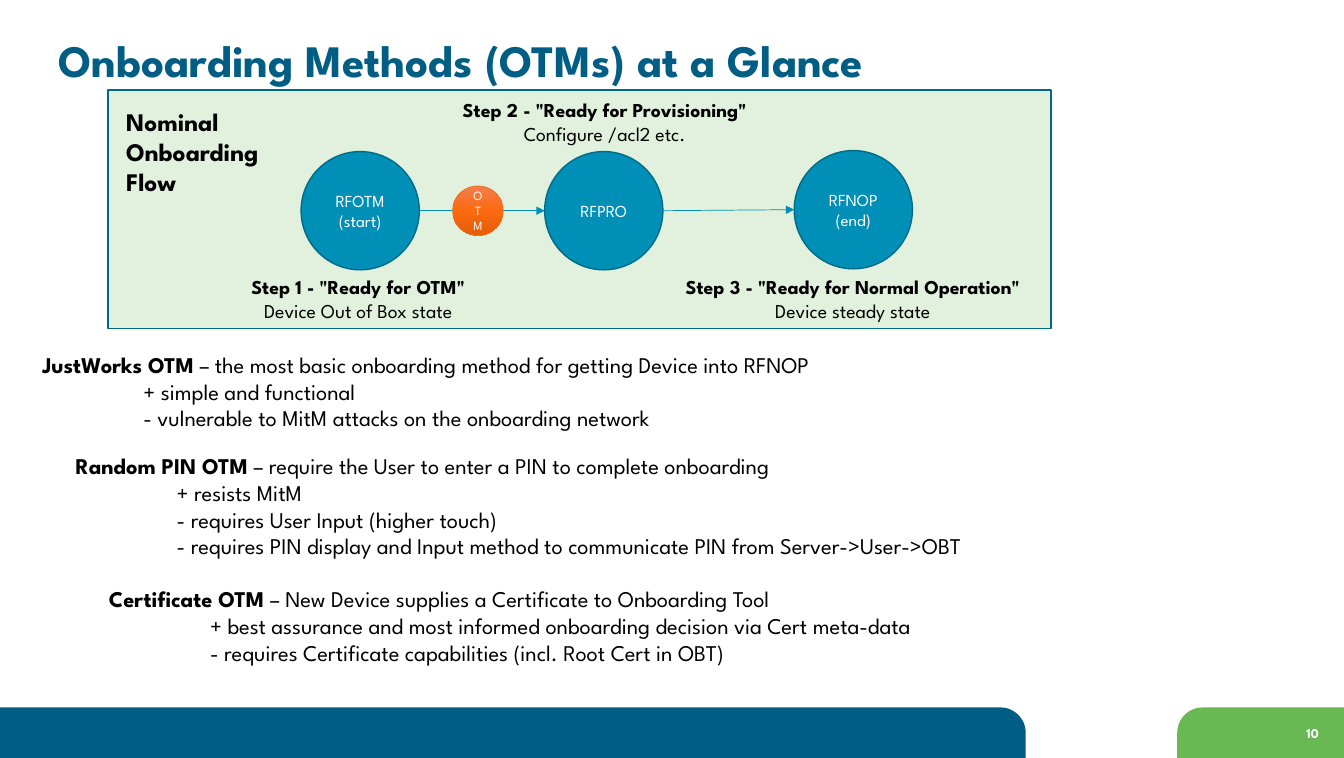
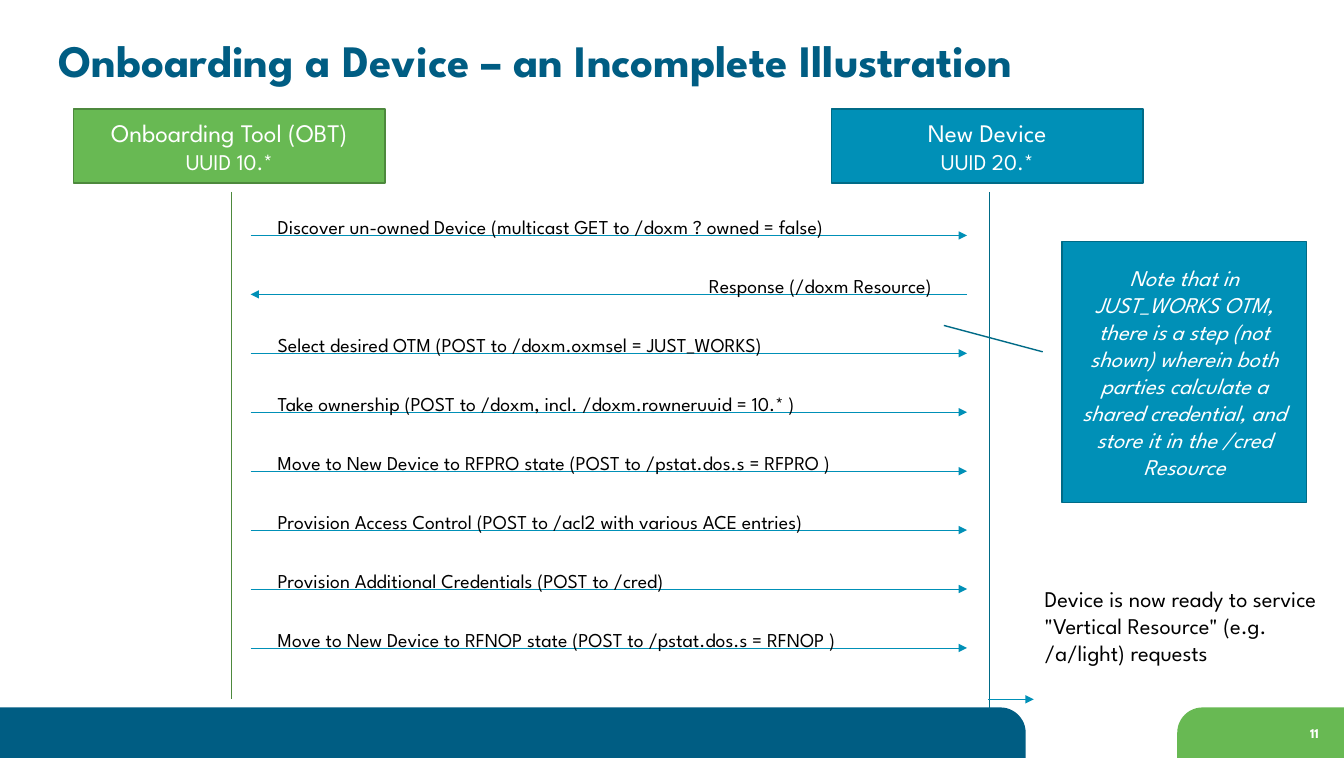
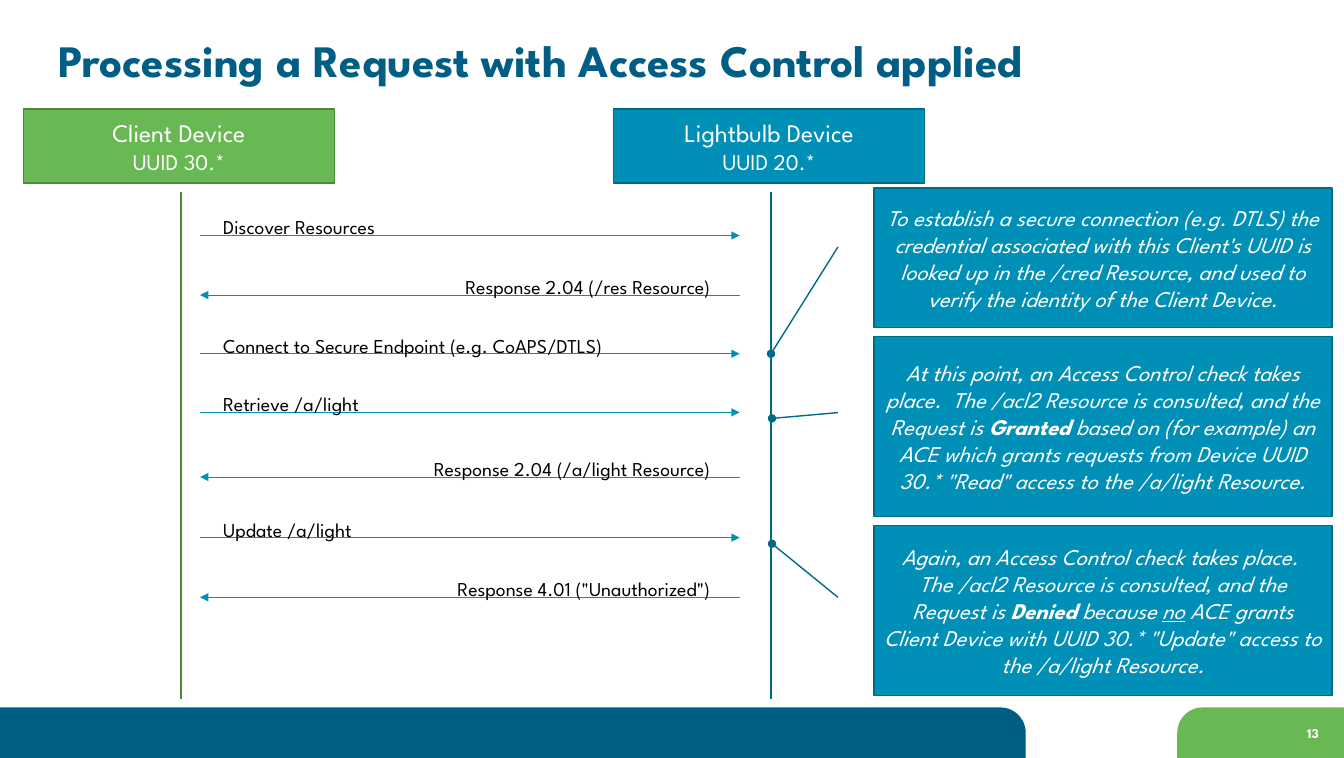
from copy import deepcopy

from lxml import etree
from pptx import Presentation
from pptx.dml.color import RGBColor
from pptx.enum.shapes import MSO_CONNECTOR, MSO_SHAPE
from pptx.enum.text import MSO_ANCHOR, PP_ALIGN
from pptx.oxml.ns import qn
from pptx.util import Inches, Pt

FONT = "League Spartan"
NAVY = RGBColor(0x00, 0x5D, 0x83)
BLUE = RGBColor(0x00, 0x90, 0xB7)
BLUE_EDGE = RGBColor(0x00, 0x6B, 0x87)
GREEN = RGBColor(0x68, 0xB9, 0x53)
GREEN_EDGE = RGBColor(0x4D, 0x89, 0x3D)
PALE_GREEN = RGBColor(0xE1, 0xF1, 0xDD)
ORANGE_EDGE = RGBColor(0xF0, 0x6C, 0x19)
ORANGES = [(0, RGBColor(0xF4, 0x7E, 0x4E)), (0.5, RGBColor(0xFB, 0x6A, 0x0E)),
           (1, RGBColor(0xE5, 0x5C, 0x07))]
WHITE = RGBColor(0xFF, 0xFF, 0xFF)
BLACK = RGBColor(0x00, 0x00, 0x00)
LEFT, CENTER, RIGHT = PP_ALIGN.LEFT, PP_ALIGN.CENTER, PP_ALIGN.RIGHT

# Slide 10: the states, their captions and the onboarding methods
CIRCLE = 1.17
STATES = [(2.98, 1.5, ["RFOTM", "(start)"]), (5.39, 1.5, ["RFPRO"]),
          (7.86, 1.49, ["RFNOP", "(end)"])]
STEPS = [
    ((2.15, 2.67, 2.79, 0.57), 'Step 1 - "Ready for OTM"', "Device Out of Box state"),
    ((4.32, 0.92, 3.33, 0.57), 'Step 2 - "Ready for Provisioning"', "Configure /acl2 etc."),
    ((6.4, 2.67, 4.08, 0.57), 'Step 3 - "Ready for Normal Operation"', "Device steady state"),
]
METHODS = [
    (0.32, 3.42, "JustWorks OTM",
     " – the most basic onboarding method for getting Device into RFNOP",
     ["+ simple and functional", "- vulnerable to MitM attacks on the onboarding network"]),
    (0.65, 4.42, "Random PIN OTM", " – require the User to enter a PIN to complete onboarding",
     ["+ resists MitM", "- requires User Input (higher touch)",
      "- requires PIN display and Input method to communicate PIN from Server->User->OBT"]),
    (0.98, 5.74, "Certificate OTM", " – New Device supplies a Certificate to Onboarding Tool",
     ["+ best assurance and most informed onboarding decision via Cert meta-data",
      "- requires Certificate capabilities (incl. Root Cert in OBT)"]),
]

# Slides 11 and 13: message sequences between two parties
REQUEST, RESPONSE = "request", "response"
FIRST_MESSAGE, MESSAGE_STEP = 2.33, 0.583
ONBOARDING = {
    "title": "Onboarding a Device – an Incomplete Illustration",
    "number": "11",
    "parties": [(0.73, 6.92, "Onboarding Tool (OBT)", "UUID 10.*"),
                (8.23, 7.02, "New Device", "UUID 20.*")],
    "arrow": (2.48, 9.57),
    "label": (2.65, 6.67),
    "messages": [
        (FIRST_MESSAGE + index * MESSAGE_STEP, way, text) for index, (way, text) in enumerate([
            (REQUEST, "Discover un-owned Device (multicast GET to /doxm ? owned = false)"),
            (RESPONSE, "Response (/doxm Resource)"),
            (REQUEST, "Select desired OTM (POST to /doxm.oxmsel = JUST_WORKS)"),
            (REQUEST, "Take ownership (POST to /doxm, incl. /doxm.rowneruuid = 10.* )"),
            (REQUEST, "Move to New Device to RFPRO state (POST to /pstat.dos.s = RFPRO )"),
            (REQUEST, "Provision Access Control (POST to /acl2 with various ACE entries)"),
            (REQUEST, "Provision Additional Credentials (POST to /cred)"),
            (REQUEST, "Move to New Device to RFNOP state (POST to /pstat.dos.s = RFNOP )"),
        ])],
    "notes": [((10.51, 2.39, 2.42, 2.58), (9.34, 3.22), False, [
        ("Note that in JUST_WORKS OTM, there is a step (not shown) wherein both parties "
         "calculate a shared credential, and store it in the /cred Resource", "i")])],
}
ACCESS = {
    "title": "Processing a Request with Access Control applied",
    "number": "13",
    "parties": [(0.23, 6.92, "Client Device", "UUID 30.*"),
                (6.07, 6.92, "Lightbulb Device", "UUID 20.*")],
    "arrow": (1.98, 7.32),
    "label": (2.11, 5.02),
    "messages": [
        (2.33, REQUEST, "Discover Resources"),
        (2.92, RESPONSE, "Response 2.04 (/res Resource)"),
        (3.5, REQUEST, "Connect to Secure Endpoint (e.g. CoAPS/DTLS)"),
        (4.08, REQUEST, "Retrieve /a/light"),
        (4.72, RESPONSE, "Response 2.04 (/a/light Resource)"),
        (5.32, REQUEST, "Update /a/light"),
        (5.91, RESPONSE, 'Response 4.01 ("Unauthorized")'),
    ],
    "notes": [
        ((8.65, 1.86, 4.53, 1.38), (7.63, 3.5), True, [
            ("To establish a secure connection (e.g. DTLS) the credential associated with this "
             "Client's UUID is looked up in the /cred Resource, and used to verify the identity "
             "of the Client Device.", "i")]),
        ((8.65, 3.33, 4.53, 1.78), (7.64, 4.14), True, [
            ("At this point, an Access Control check takes place.  The /acl2 Resource is "
             "consulted, and the Request is ", "i"),
            ("Granted", "bi"),
            (" based on (for example) an ACE which grants requests from Device UUID 30.* "
             '"Read" access to the /a/light Resource.', "i")]),
        ((8.65, 5.2, 4.53, 1.68), (7.64, 5.38), True, [
            ("Again, an Access Control check takes place.  The /acl2 Resource is consulted, "
             "and the Request is ", "i"),
            ("Denied", "bi"),
            (" because ", "i"),
            ("no", "iu"),
            (' ACE grants Client Device with UUID 30.* "Update" access to the /a/light Resource.',
             "i")]),
    ],
}


def write(shape, paras, size, color=BLACK, align=LEFT):
    """Fill a shape with paragraphs of (text, style letters b/i/u, optional size) spans."""
    frame = shape.text_frame
    frame.word_wrap = True
    for index, spans in enumerate(paras):
        para = frame.add_paragraph() if index else frame.paragraphs[0]
        para.alignment = align
        for text, style, *own_size in spans:
            span = para.add_run()
            span.text = text
            font = span.font
            font.name = FONT
            font.size = Pt(own_size[0] if own_size else size)
            font.color.rgb = color
            font.bold = "b" in style
            font.italic = "i" in style
            font.underline = "u" in style
    return frame


def add_text(slide, place, paras, size, color=BLACK, align=LEFT, anchor=MSO_ANCHOR.TOP):
    box = slide.shapes.add_textbox(*map(Inches, place))
    frame = write(box, paras, size, color, align)
    frame.vertical_anchor = anchor
    return frame


def add_box(slide, kind, place, fill, edge=None, width=1):
    box = slide.shapes.add_shape(kind, *map(Inches, place))
    box.shadow.inherit = False
    box.fill.solid()
    box.fill.fore_color.rgb = fill
    if edge is None:
        box.line.fill.background()
    else:
        box.line.color.rgb = edge
        box.line.width = Pt(width)
    return box


def add_tail(line, kind):
    etree.SubElement(line.get_or_change_to_solid_fill().getparent(), qn("a:tailEnd"), type=kind) \
        if hasattr(line, "get_or_change_to_solid_fill") else \
        etree.SubElement(line, qn("a:tailEnd"), type=kind)


def add_arrow(slide, start, end):
    arrow = slide.shapes.add_connector(MSO_CONNECTOR.STRAIGHT, *map(Inches, (*start, *end)))
    arrow.line.color.rgb = BLUE
    arrow.line.width = Pt(0.5)
    properties = arrow.element.spPr
    add_tail(properties.find(qn("a:ln")), "triangle")
    etree.SubElement(properties, qn("a:effectLst"))


def add_callout(slide, place, start, end, fill, edge):
    """Add a box whose leader line runs between two slide points."""
    box = add_box(slide, MSO_SHAPE.LINE_CALLOUT_1, place, fill, edge)
    left, top, width, height = place
    ratios = [((y - top) / height, (x - left) / width) for x, y in (start, end)]
    for index, ratio in enumerate(ratios[0] + ratios[1]):
        box.adjustments[index] = ratio
    return box


def add_page(deck, title, number):
    page = deck.slides.add_slide(deck.slide_layouts[6])
    for left, width, color in [(0, 10.15, NAVY), (11.65, 1.65, GREEN)]:
        band = add_box(page, MSO_SHAPE.ROUND_1_RECTANGLE, (left, 7, width, 0.5), color)
        band.adjustments[0] = 0.5
        if left:
            band.element.spPr.find(qn("a:xfrm")).set("flipH", "1")
    add_text(page, (0.48, 0, 11.33, 1.17), [[(title, "b")]], 32, NAVY,
             anchor=MSO_ANCHOR.MIDDLE)
    frame = add_text(page, (11.98, 7.08, 1.17, 0.33), [[(number, "b")]], 12, WHITE, RIGHT,
                     MSO_ANCHOR.MIDDLE)
    frame.paragraphs[0].runs[0].font._element.set("cap", "small")
    return page


def add_otm_badge(page):
    badge = add_box(page, MSO_SHAPE.OVAL, (4.48, 1.84, 0.5, 0.49), ORANGES[0][1],
                    ORANGE_EDGE, 0.5)
    badge.fill.gradient()
    badge.fill.gradient_angle = 270
    stop_list = badge.element.spPr.find(qn("a:gradFill")).find(qn("a:gsLst"))
    stop_list.insert(1, deepcopy(stop_list[0]))
    for stop, (position, color) in zip(badge.fill.gradient_stops, ORANGES):
        stop.position = position
        stop.color.rgb = color
    write(badge, [[(letter, "")] for letter in "OTM"], 9, WHITE, CENTER)


def build_methods(deck):
    page = add_page(deck, "Onboarding Methods (OTMs) at a Glance", "10")
    add_box(page, MSO_SHAPE.RECTANGLE, (1.07, 0.89, 9.33, 2.36), PALE_GREEN, BLUE_EDGE)
    add_text(page, (1.15, 1, 1.75, 1.01),
             [[(word, "b")] for word in ("Nominal", "Onboarding", "Flow")], 18)
    for left, top, lines in STATES:
        circle = add_box(page, MSO_SHAPE.OVAL, (left, top, CIRCLE, CIRCLE), BLUE, BLUE_EDGE)
        write(circle, [[(line, "")] for line in lines], 12, WHITE, CENTER)
    for (left, top, _), (next_left, next_top, _) in zip(STATES, STATES[1:]):
        add_arrow(page, (left + CIRCLE, top + CIRCLE / 2), (next_left, next_top + CIRCLE / 2))
    add_otm_badge(page)
    for place, step, detail in STEPS:
        add_text(page, place, [[(step, "b")], [(detail, "")]], 14, align=CENTER)
    for left, top, name, summary, points in METHODS:
        paras = [[(name, "b"), (summary, "")]] + [[(point, "")] for point in points]
        frame = add_text(page, (left, top, 11.92, 0.27 * len(paras) + 0.1), paras, 16)
        for para in frame.paragraphs[1:]:
            para._p.get_or_add_pPr().set("marL", str(Inches(1)))


def build_sequence(deck, content):
    page = add_page(deck, content["title"], content["number"])
    colors = [(GREEN, GREEN_EDGE), (BLUE, BLUE_EDGE)]
    for (left, bottom, name, uuid), (fill, edge) in zip(content["parties"], colors):
        lifeline = left + 1.56
        party = add_callout(page, (left, 1.08, 3.08, 0.73), (lifeline, 1.9),
                            (lifeline, bottom), fill, edge)
        write(party, [[(name, "", 18)], [(uuid, "")]], 16, WHITE, CENTER)
    near, far = content["arrow"]
    label_left, label_width = content["label"]
    for y, way, text in content["messages"]:
        ends = [(near, y), (far, y)]
        add_arrow(page, *(ends if way == REQUEST else reversed(ends)))
        add_text(page, (label_left, y - 0.25, label_width, 0.34), [[(text, "")]], 14,
                 align=LEFT if way == REQUEST else RIGHT)
    for place, target, dotted, spans in content["notes"]:
        left, top, width, height = place
        start = (left - 0.079 * width, top + 0.423 * height)
        note = add_callout(page, place, start, target, BLUE, BLUE_EDGE)
        if dotted:
            add_tail(note.element.spPr.find(qn("a:ln")), "oval")
        write(note, [spans], 16, WHITE, CENTER)
    return page


def main():
    deck = Presentation()
    deck.slide_width, deck.slide_height = Inches(13.3), Inches(7.5)
    build_methods(deck)
    page = build_sequence(deck, ONBOARDING)
    add_text(page, (10.24, 5.74, 2.96, 1.18), [[(
        'Device is now ready to service "Vertical Resource" (e.g. /a/light) requests', "")]], 16)
    add_arrow(page, (9.78, 6.92), (10.23, 6.92))
    build_sequence(deck, ACCESS)
    deck.save("out.pptx")


if __name__ == "__main__":
    main()
